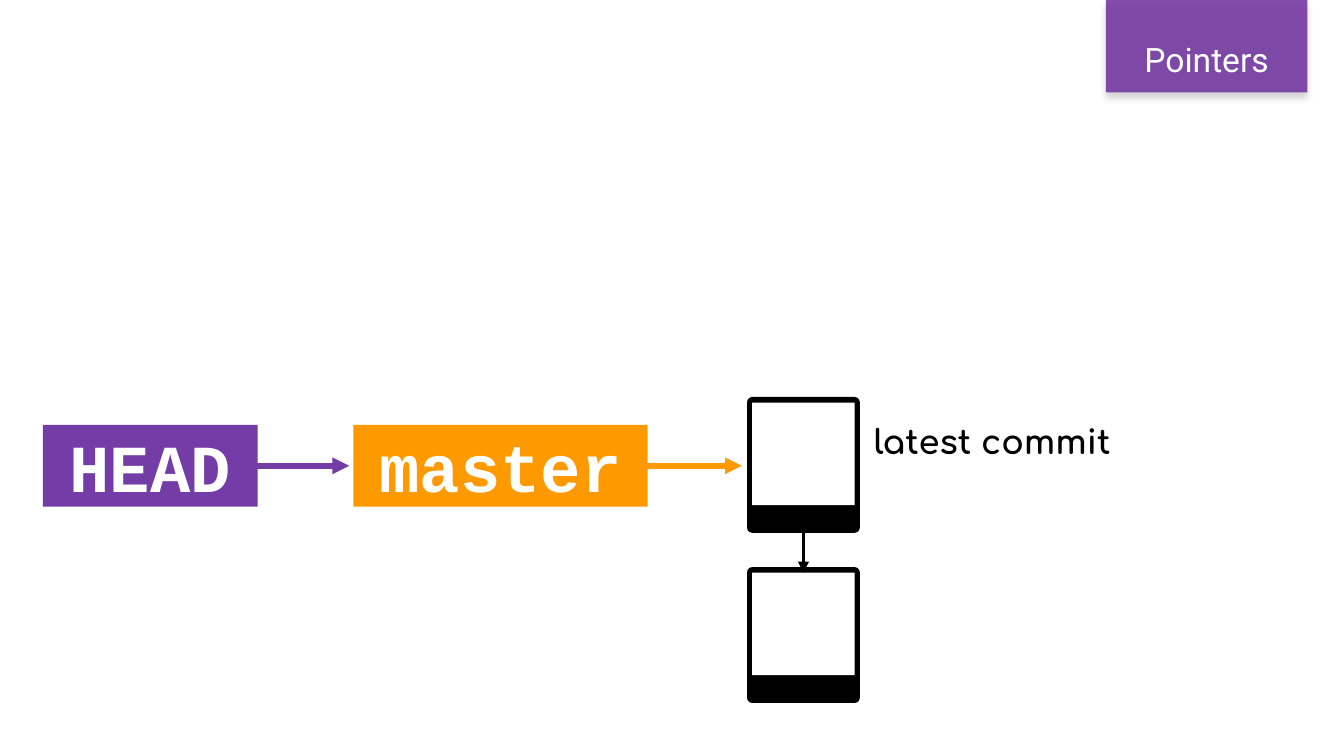
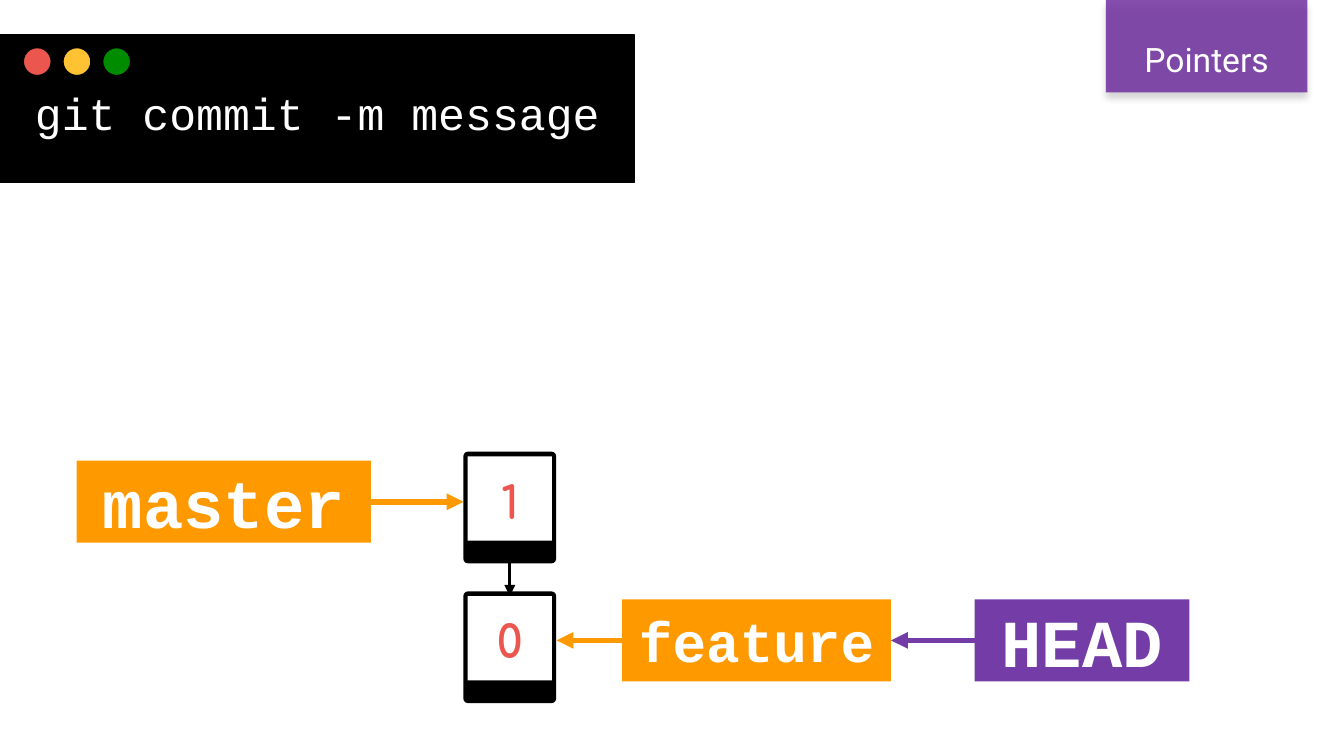
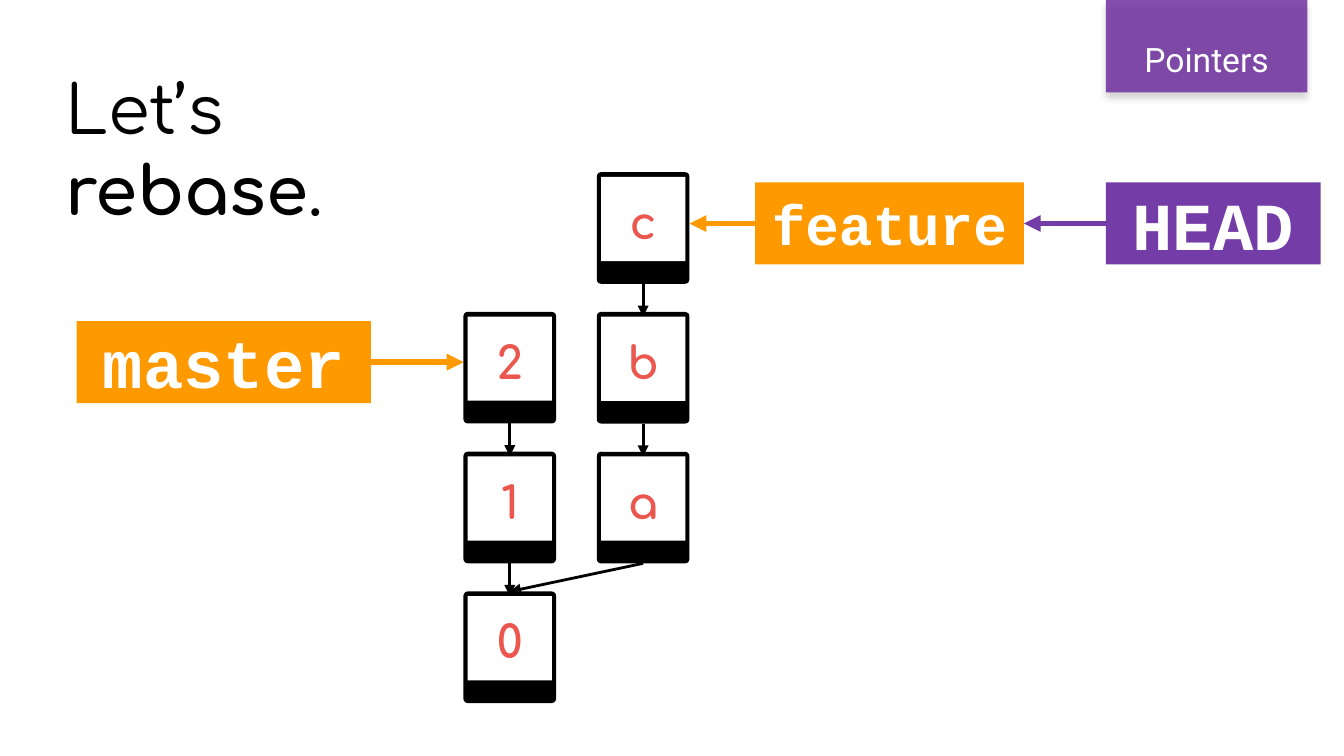
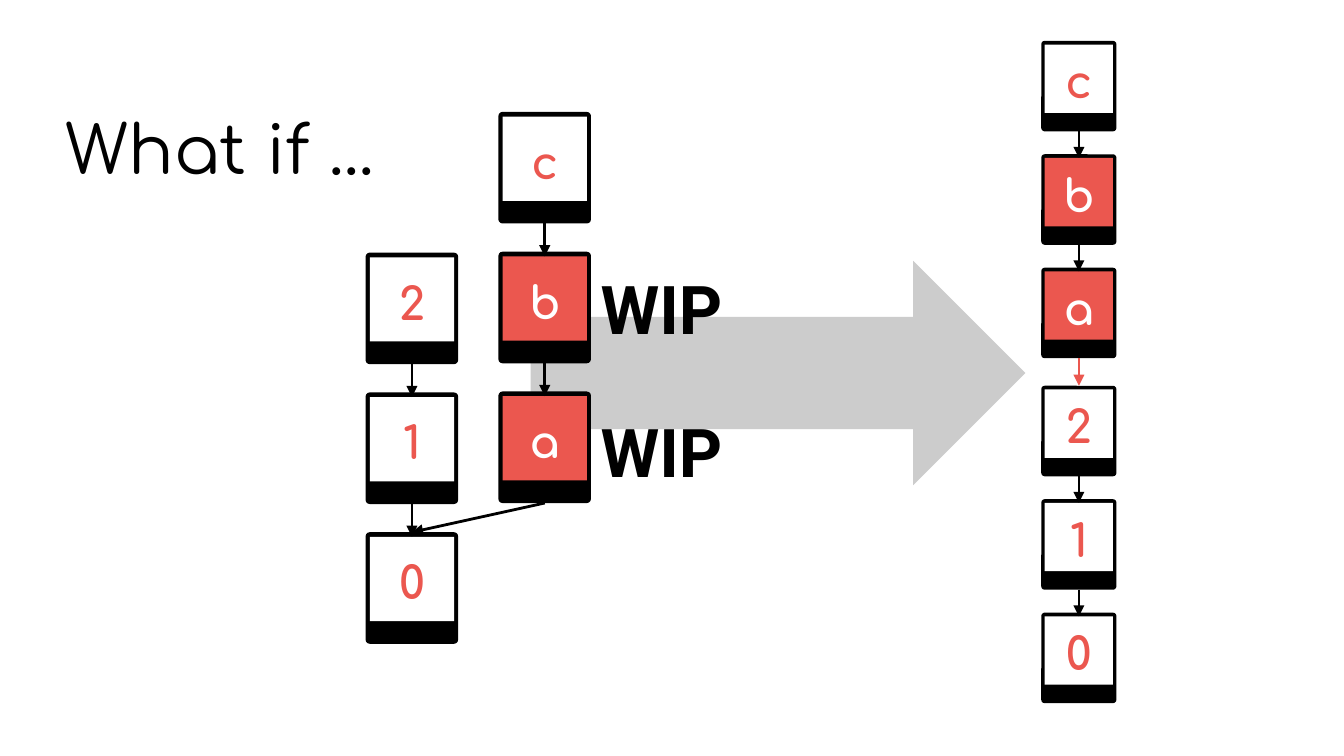
from lxml.etree import SubElement
from pptx import Presentation
from pptx.dml.color import RGBColor
from pptx.enum.shapes import MSO_CONNECTOR as Connector, MSO_SHAPE as Shape
from pptx.enum.text import MSO_ANCHOR as Anchor, MSO_AUTO_SIZE as AutoSize, PP_ALIGN as Align
from pptx.oxml import parse_xml
from pptx.oxml.ns import nsdecls, qn
from pptx.util import Cm, Pt

BLACK = RGBColor(0x00, 0x00, 0x00)
WHITE = RGBColor(0xFF, 0xFF, 0xFF)
GREY = RGBColor(0xCC, 0xCC, 0xCC)
RED = RGBColor(0xEB, 0x57, 0x4F)
YELLOW = RGBColor(0xFF, 0xC2, 0x33)
GREEN = RGBColor(0x00, 0x8C, 0x00)
ORANGE = RGBColor(0xFF, 0x99, 0x00)
PURPLE = RGBColor(0x73, 0x3C, 0xA6)
BANNER_PURPLE = RGBColor(0x70, 0x30, 0xA0)

ROUND, MONO, SANS = "Comfortaa", "Courier New", "Roboto"

# All positions and sizes below are in centimetres
TITLE_BOX = (0.99, 1.07, 7.9, 3.45)
REF_HEIGHT = 1.55
REFS = {  # name: (width, colour, text size)
    "HEAD": (4.06, PURPLE, 36),
    "master": (5.56, ORANGE, 36),
    "feature": (5.08, ORANGE, 30),
}

# columns: (left, top of lowest commit, commit width, labels from bottom to top)
# joins: (column whose lowest commit starts the arrow, column it reaches, colour)
# refs: (name, left, top, arrow start, arrow end)
# title: runs of (text, bold)
SLIDES = [
    {
        "banner": "Pointers",
        "columns": [(14.12, 10.72, 2.13, ["", ""])],
        "refs": [("master", 6.68, 8.03, 8.94, 14.02), ("HEAD", 0.81, 8.03, 1.55, 6.6)],
        "texts": [("latest commit", (16.26, 7.7, 5.56, 1.75), ROUND, 18, Anchor.TOP)],
    },
    {
        "banner": "Pointers",
        "terminal": "git commit -m message",
        "columns": [(8.76, 11.18, 1.75, ["0", "1"])],
        "refs": [
            ("master", 1.45, 8.71, 3.68, 8.76),
            ("HEAD", 18.42, 11.33, 18.42, 16.84),
            ("feature", 11.76, 11.33, 11.76, 10.52),
        ],
    },
    {
        "banner": "Pointers",
        "title": [("Let’s ", False), ("rebase", True), (".", False)],
        "columns": [
            (8.76, 11.18, 1.75, ["0", "1", "2"]),
            (11.28, 8.54, 1.75, ["a", "b", "c"]),
        ],
        "joins": [(1, 0, BLACK)],
        "refs": [
            ("master", 1.45, 6.07, 3.68, 8.76),
            ("HEAD", 20.9, 3.45, 20.9, 19.35),
            ("feature", 14.27, 3.45, 14.27, 13.03),
        ],
    },
    {
        "title": [("What if ...", False)],
        "block_arrow": (10.03, 4.93, 9.35, 4.24),
        "columns": [
            (6.91, 10.06, 1.75, ["0", "1", "2"]),
            (9.42, 7.4, 1.75, ["a", "b", "c"]),
            (19.68, 11.58, 1.42, ["0", "1", "2"]),
            (19.68, 5.06, 1.42, ["a", "b", "c"]),
        ],
        "joins": [(1, 0, BLACK), (3, 2, RED)],
        "highlighted": "ab",
        "texts": [
            ("WIP", (11.1, 5.26, 3.38, 1.12), SANS, 36, Anchor.MIDDLE),
            ("WIP", (11.1, 7.95, 3.38, 1.12), SANS, 36, Anchor.MIDDLE),
        ],
    },
]


# Basic parts
def set_font(font, name, size, color, bold=False):
    font.name, font.size, font.bold = name, Pt(size), bold
    font.color.rgb = color


def set_frame(frame, anchor=Anchor.MIDDLE):
    frame.word_wrap = True
    frame.auto_size = AutoSize.NONE
    frame.vertical_anchor = anchor
    frame.margin_left = frame.margin_right = Cm(0.25)
    frame.margin_top = frame.margin_bottom = Cm(0.25)


def write(shape, text, name, size, color, bold=False, align=Align.CENTER,
          anchor=Anchor.MIDDLE, spacing=None):
    set_frame(shape.text_frame, anchor)
    paragraph = shape.text_frame.paragraphs[0]
    paragraph.text = text
    paragraph.alignment = align
    if spacing:
        paragraph.line_spacing = spacing
    set_font(paragraph.font, name, size, color, bold)


def add_shape(shapes, kind, box, color, outlined=False):
    shape = shapes.add_shape(kind, *map(Cm, box))
    shape.shadow.inherit = False
    shape.fill.solid()
    shape.fill.fore_color.rgb = color
    if outlined:
        shape.line.color.rgb = BLACK
        shape.line.width = Pt(0.75)
    else:
        shape.line.fill.background()
    return shape


def add_text(slide, box, *args, **options):
    write(slide.shapes.add_textbox(*map(Cm, box)), *args, **options)


def add_arrow(slide, start, end, color, width):
    connector = slide.shapes.add_connector(Connector.STRAIGHT, *map(Cm, start + end))
    connector.line.color.rgb = color
    connector.line.width = Pt(width)
    SubElement(connector.line._get_or_add_ln(), qn("a:tailEnd"), type="triangle")
    SubElement(connector._element.spPr, qn("a:effectLst"))


# Slide parts
def add_title(slide, runs):
    title = slide.shapes.title
    title.left, title.top, title.width, title.height = map(Cm, TITLE_BOX)
    set_frame(title.text_frame)
    paragraph = title.text_frame.paragraphs[0]
    paragraph.alignment = Align.LEFT
    for text, bold in runs:
        run = paragraph.add_run()
        run.text = text
        set_font(run.font, ROUND, 36, BLACK, bold)


def add_banner(slide, text):
    banner = add_shape(slide.shapes, Shape.RECTANGLE, (20.9, 0, 3.81, 1.75), BANNER_PURPLE)
    properties = banner._element.spPr
    SubElement(properties.find(".//" + qn("a:srgbClr")), qn("a:alpha"), val="85000")
    properties.remove(properties.find(qn("a:effectLst")))
    properties.append(parse_xml(
        f'<a:effectLst {nsdecls("a")}><a:outerShdw blurRad="{Pt(4)}" dist="{Pt(3)}" '
        'dir="5400000" algn="bl" rotWithShape="0"><a:srgbClr val="000000">'
        '<a:alpha val="20000"/></a:srgbClr></a:outerShdw></a:effectLst>'))
    add_text(slide, (20.9, 0.33, 3.81, 1.19), text, SANS, 18, WHITE, spacing=1.5)


def add_terminal(slide, command):
    window = add_shape(slide.shapes, Shape.RECTANGLE, (0, 0.66, 11.99, 2.79), BLACK, True)
    write(window, command, MONO, 24, WHITE, spacing=1.15)
    buttons = slide.shapes.add_group_shape()
    for index, color in enumerate((RED, YELLOW, GREEN)):
        box = (0.44 + 0.75 * index, 0.9, 0.53, 0.53)
        add_shape(buttons.shapes, Shape.OVAL, box, color, True)


def add_commit(slide, left, top, width, label, highlighted):
    """Draw one commit card; its parts scale with its width."""
    face_color, label_color = (RED, WHITE) if highlighted else (WHITE, RED)
    face = 0.91 * width
    face_left, face_top = left + 0.045 * width, top + 0.05 * width
    card = slide.shapes.add_group_shape()
    body = add_shape(card.shapes, Shape.ROUNDED_RECTANGLE,
                     (left, top, width, 1.205 * width), BLACK)
    body.adjustments[0] = 0.045
    add_shape(card.shapes, Shape.RECTANGLE, (face_left, face_top, face, face), face_color)
    if label:
        label_height = 0.63 * width
        label_top = face_top + (face - label_height) / 2 + 0.03 * width
        add_text(slide, (left + 0.07 * width, label_top, 0.86 * width, label_height),
                 label, ROUND, 24, label_color, True)


def add_column(slide, left, base, width, labels, highlighted):
    """Stack commits upwards, each pointing at the one below."""
    pitch = 1.51 * width
    center = left + width / 2
    for index, label in enumerate(labels):
        top = base - index * pitch
        add_commit(slide, left, top, width, label, label and label in highlighted)
        if index:
            add_arrow(slide, (center, top + 1.205 * width),
                      (center, top + pitch + 0.05 * width), BLACK, 1.5)


def add_join(slide, source, target, color):
    source_left, source_top, source_width, _ = source
    target_left, target_top, target_width, target_labels = target
    # A column straight above joins the top commit, a side branch the lowest one
    if source_left == target_left:
        target_top -= 1.51 * target_width * (len(target_labels) - 1)
    add_arrow(slide, (source_left + source_width / 2, source_top + 1.205 * source_width),
              (target_left + target_width / 2, target_top), color, 1.5)


def add_ref(slide, name, left, top, arrow_start, arrow_end):
    width, color, size = REFS[name]
    middle = top + REF_HEIGHT / 2
    add_arrow(slide, (arrow_start, middle), (arrow_end, middle), color, 3)
    label = add_shape(slide.shapes, Shape.RECTANGLE, (left, top, width, REF_HEIGHT), color)
    write(label, name, MONO, size, WHITE, True)


def build_slide(presentation, content):
    layout = "Title Only" if "title" in content else "Blank"
    slide = presentation.slides.add_slide(presentation.slide_layouts.get_by_name(layout))
    if "title" in content:
        add_title(slide, content["title"])
    if "banner" in content:
        add_banner(slide, content["banner"])
    if "block_arrow" in content:
        add_shape(slide.shapes, Shape.RIGHT_ARROW, content["block_arrow"], GREY)
    if "terminal" in content:
        add_terminal(slide, content["terminal"])
    for ref in content.get("refs", []):
        add_ref(slide, *ref)
    columns = content["columns"]
    for column in columns:
        add_column(slide, *column, content.get("highlighted", ""))
    for source, target, color in content.get("joins", []):
        add_join(slide, columns[source], columns[target], color)
    for text, box, font, size, anchor in content.get("texts", []):
        add_text(slide, box, text, font, size, BLACK, True, Align.LEFT, anchor)


def main():
    presentation = Presentation()
    presentation.slide_width, presentation.slide_height = Cm(25.4), Cm(14.29)
    for content in SLIDES:
        build_slide(presentation, content)
    presentation.save("out.pptx")


if __name__ == "__main__":
    main()
